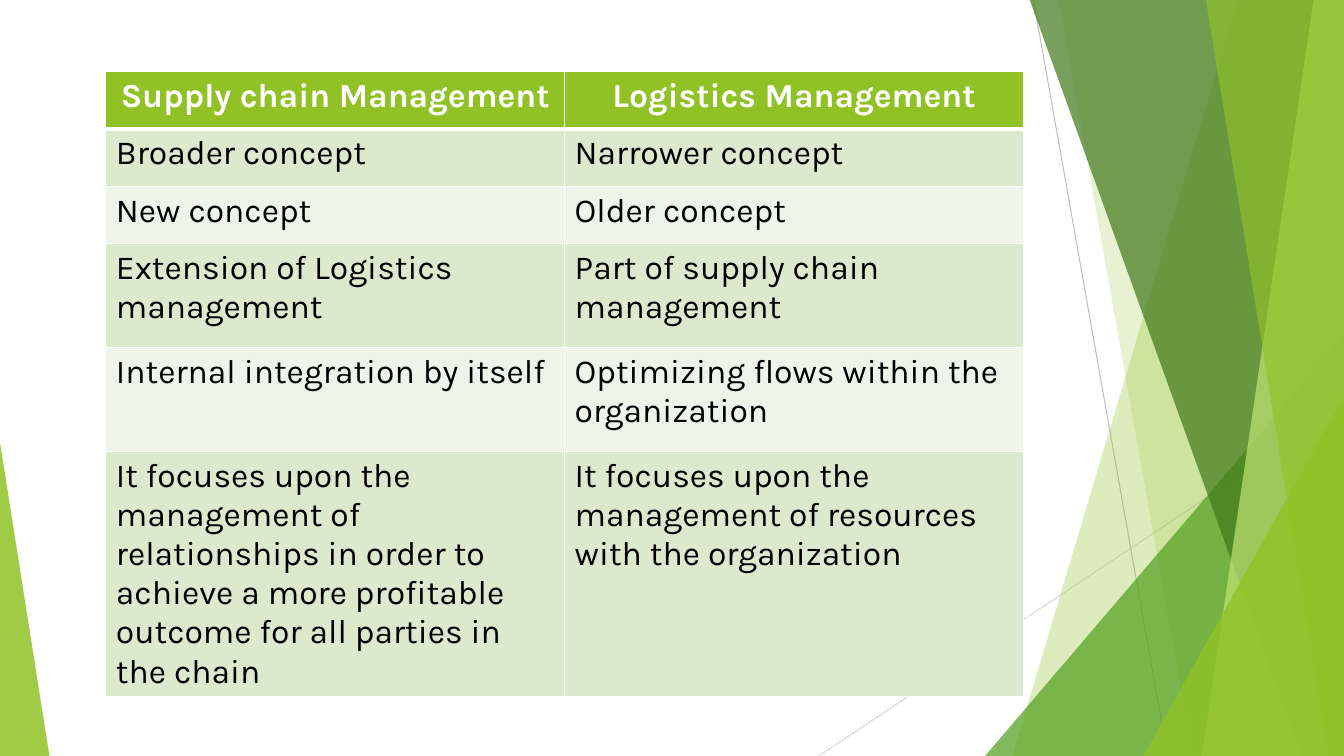
from dataclasses import dataclass

from lxml.etree import SubElement
from pptx import Presentation
from pptx.dml.color import RGBColor
from pptx.enum.shapes import MSO_CONNECTOR as Connector, MSO_SHAPE as Preset
from pptx.enum.text import PP_ALIGN as Align
from pptx.oxml.ns import qn
from pptx.shapes.autoshape import Shape
from pptx.slide import Slide
from pptx.table import _Cell as Cell
from pptx.util import Pt

PX = 9144  # EMU: 100 px to the inch
PAGE_W, PAGE_H = 1333, 750
BAND_TOP = -1


@dataclass(frozen=True)
class Theme:
    font: str = "Karla"
    text_size: int = 24
    lime: str = "90C226"
    pale_lime: str = "C0E474"
    green: str = "54A021"
    dark_green: str = "3F7819"
    grey: str = "BFBFBF"
    light_grey: str = "D9D9D9"
    white: str = "FFFFFF"
    black: str = "000000"
    row_tints: tuple[str, str] = ("DBE9CD", "EEF4E8")
    hairline: float = 0.75
    border: int = 1
    header_rule: int = 3


THEME = Theme()


@dataclass(frozen=True)
class Ray:
    start: tuple[int, int]
    end: tuple[int, int]
    color: str


@dataclass(frozen=True)
class Band:
    """A full-height area from a slanted left edge to the right page edge."""
    top_x: int
    bottom_x: int
    color: str
    opacity: int


@dataclass(frozen=True)
class Wedge:
    """A right triangle standing on the bottom page edge."""
    left: int
    width: int
    height: int
    apex: int
    color: str
    opacity: int


RAYS = (
    Ray((1025, 0), (1158, PAGE_H), THEME.grey),
    Ray((PAGE_W, 403), (812, PAGE_H), THEME.light_grey),
)
FACETS = (
    Band(1228, 1004, THEME.lime, 30),
    Band(1050, 1183, THEME.lime, 20),
    Wedge(977, 356, 417, 1, THEME.green, 72),
    Band(1021, 1291, THEME.dark_green, 70),
    Band(1303, 1192, THEME.pale_lime, 70),
    Band(1196, 1318, THEME.lime, 65),
    Wedge(1134, 199, 357, 1, THEME.lime, 80),
    Wedge(0, 49, 311, 0, THEME.lime, 85),
)

TABLE_LEFT, TABLE_TOP, COLUMN_W = 105, 71, 455
ROW_HEIGHTS = (57, 57, 57, 103, 103, 241)
ROWS = (
    ("Supply chain Management", "Logistics Management"),
    ("Broader concept", "Narrower concept"),
    ("New concept", "Older concept"),
    ("Extension of Logistics management", "Part of supply chain management"),
    ("Internal integration by itself", "Optimizing flows within the organization"),
    ("It focuses upon the management of relationships in order to achieve "
     "a more profitable outcome for all parties in the chain",
     "It focuses upon the management of resources with the organization"),
)


def rgb(color: str) -> RGBColor:
    return RGBColor.from_string(color)


def draw_ray(page: Slide, ray: Ray) -> None:
    points = (value * PX for value in ray.start + ray.end)
    line = page.shapes.add_connector(Connector.STRAIGHT, *points)
    line.line.color.rgb = rgb(ray.color)
    line.line.width = Pt(THEME.hairline)
    SubElement(line._element.spPr, qn("a:effectLst"))


def add_band(page: Slide, band: Band) -> Shape:
    outline = page.shapes.build_freeform(band.top_x, BAND_TOP, scale=PX)
    outline.add_line_segments(
        [(PAGE_W, BAND_TOP), (PAGE_W, PAGE_H), (band.bottom_x, PAGE_H)], close=True)
    return outline.convert_to_shape()


def add_wedge(page: Slide, wedge: Wedge) -> Shape:
    frame = (wedge.left, PAGE_H - wedge.height, wedge.width, wedge.height)
    shape = page.shapes.add_shape(
        Preset.ISOSCELES_TRIANGLE, *(value * PX for value in frame))
    shape.adjustments[0] = wedge.apex
    return shape


def draw_facet(page: Slide, facet: Band | Wedge) -> None:
    shape = add_band(page, facet) if isinstance(facet, Band) else add_wedge(page, facet)
    shape.shadow.inherit = False
    shape.line.fill.background()
    shape.fill.solid()
    shape.fill.fore_color.rgb = rgb(facet.color)
    color = shape._element.spPr.find(qn("a:solidFill")).find(qn("a:srgbClr"))
    SubElement(color, qn("a:alpha"), val=str(facet.opacity * 1000))


def set_borders(cell: Cell, top: int, bottom: int) -> None:
    properties = cell._tc.get_or_add_tcPr()
    widths = {"L": THEME.border, "R": THEME.border, "T": top, "B": bottom}
    for side, width in widths.items():
        line = SubElement(properties, qn(f"a:ln{side}"), w=str(Pt(width)))
        fill = SubElement(line, qn("a:solidFill"))
        SubElement(fill, qn("a:srgbClr"), val=THEME.white)


def fill_cell(cell: Cell, text: str, row: int) -> None:
    header = row == 0
    set_borders(cell,
                top=THEME.header_rule if row == 1 else THEME.border,
                bottom=THEME.header_rule if header else THEME.border)
    cell.fill.solid()
    cell.fill.fore_color.rgb = rgb(
        THEME.lime if header else THEME.row_tints[(row - 1) % 2])
    cell.text_frame.text = text
    para = cell.text_frame.paragraphs[0]
    para.alignment = Align.CENTER if header else Align.LEFT
    font = para.runs[0].font
    font.name, font.size, font.bold = THEME.font, Pt(THEME.text_size), header
    font.color.rgb = rgb(THEME.white if header else THEME.black)


def draw_comparison(page: Slide) -> None:
    columns = len(ROWS[0])
    frame = (TABLE_LEFT, TABLE_TOP, COLUMN_W * columns, sum(ROW_HEIGHTS))
    table = page.shapes.add_table(
        len(ROWS), columns, *(value * PX for value in frame)).table
    for row, (height, texts) in enumerate(zip(ROW_HEIGHTS, ROWS)):
        table.rows[row].height = height * PX
        for column, text in enumerate(texts):
            fill_cell(table.cell(row, column), text, row)


def main() -> None:
    deck = Presentation()
    deck.slide_width, deck.slide_height = PAGE_W * PX, PAGE_H * PX
    page = deck.slides.add_slide(deck.slide_layouts.get_by_name("Blank"))
    for ray in RAYS:
        draw_ray(page, ray)
    for facet in FACETS:
        draw_facet(page, facet)
    draw_comparison(page)
    deck.save("out.pptx")


if __name__ == "__main__":
    main()
